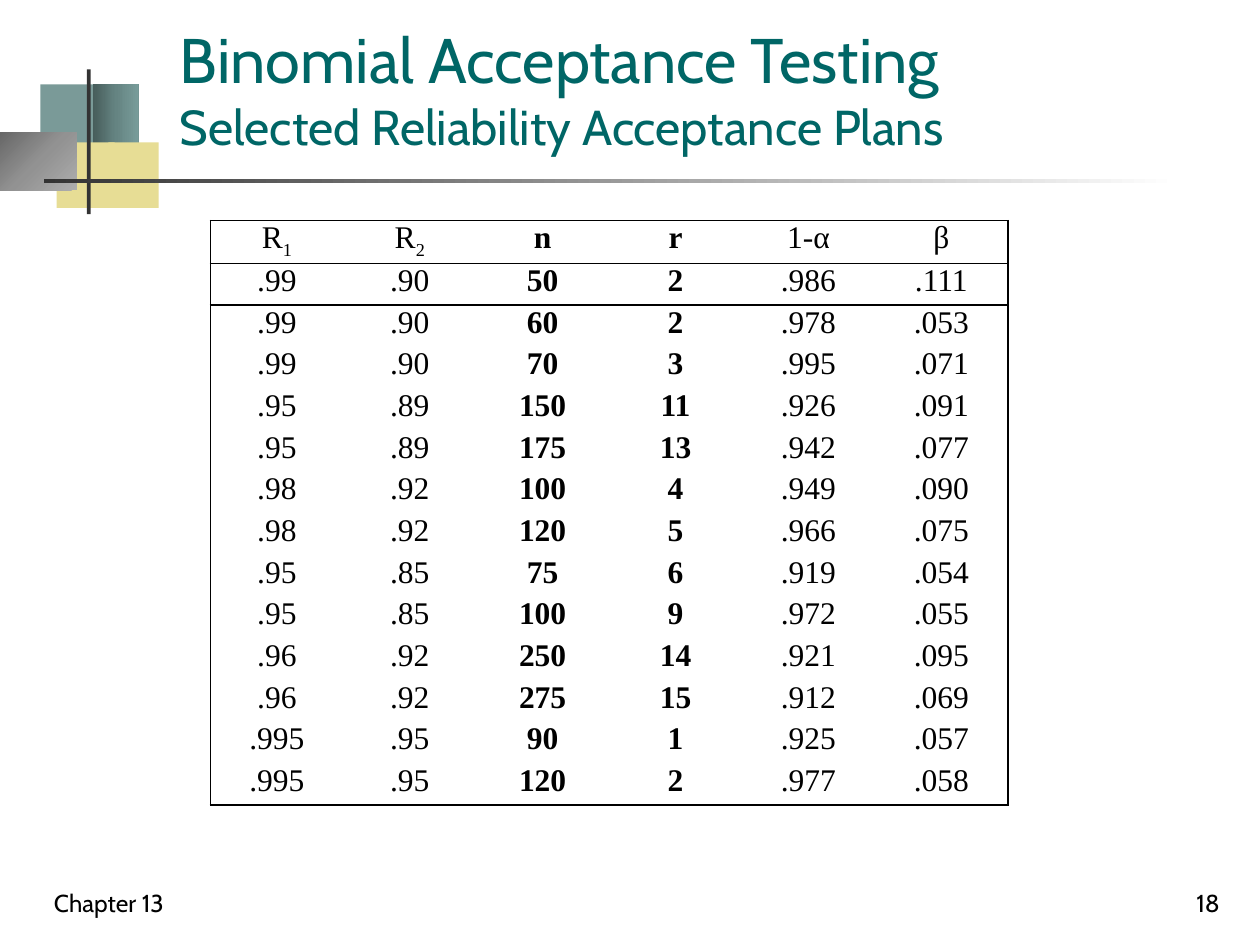
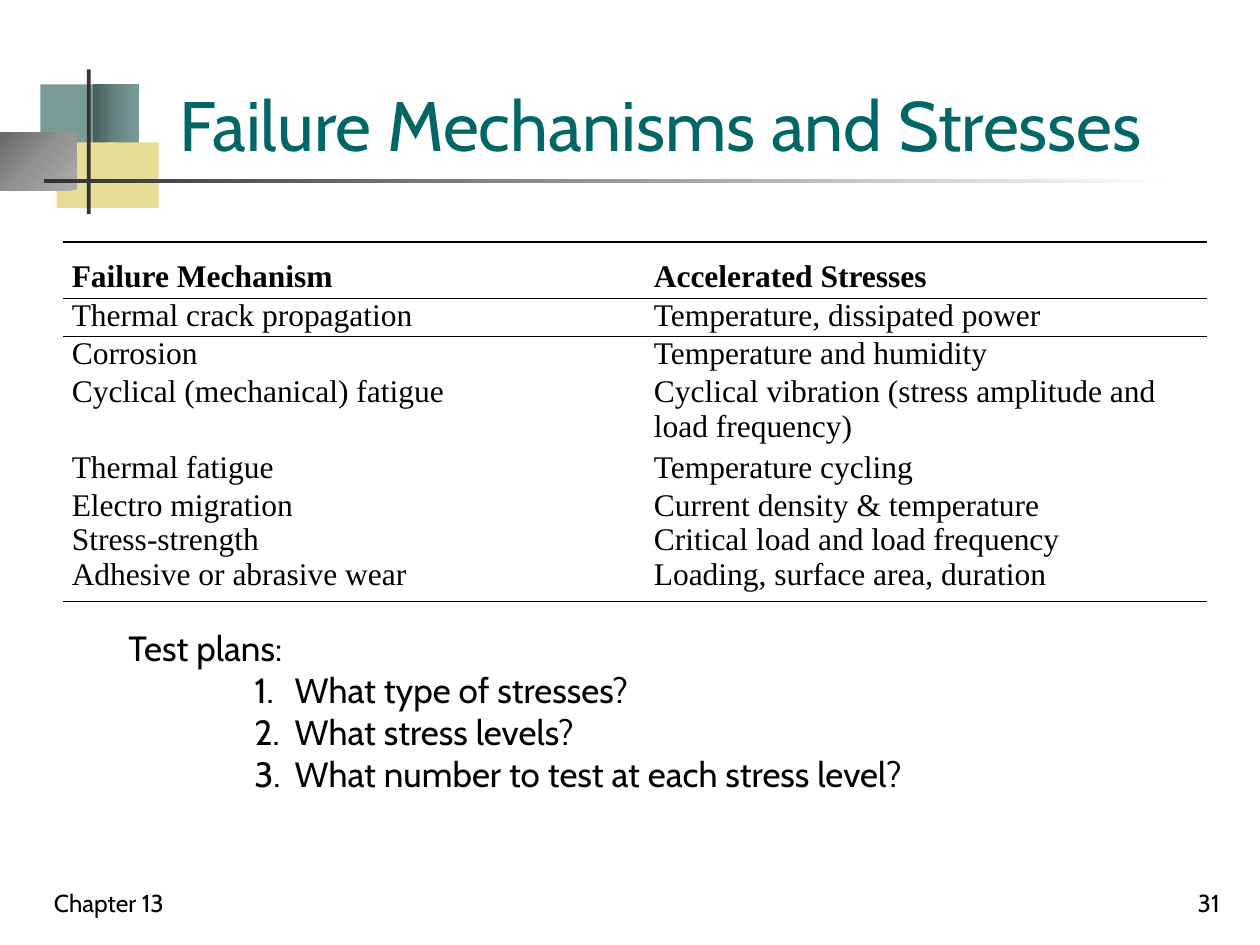
from pptx import Presentation
from pptx.dml.color import RGBColor
from pptx.enum.shapes import MSO_SHAPE as Shape
from pptx.enum.text import MSO_ANCHOR as Anchor, PP_ALIGN as Align
from pptx.oxml import parse_xml
from pptx.oxml.ns import nsdecls
from pptx.util import Pt

PX = 9144
NO_STYLE = "{2D5ABB26-0587-4C30-8999-92F81FD0307C}"
COLORS = {
    "title": "006666", "text": "000000", "teal": "7A9A98", "sand": "E7DD95",
    "rule": "333333", "page": "FFFFFF",
    "teal_dark": "475D5B", "teal_mid": "658482", "teal_light": "789C9A",
    "gray_dark": "676767", "gray_mid": "929292", "gray_light": "ADADAD",
}
LINEAR = '<a:lin ang="0" scaled="0"/>'
CORNER = '<a:path path="circle"><a:fillToRect r="100000" b="100000"/></a:path>'

BANDS = [
    ((32, 67, 48, 52), ["teal"], None),
    ((74, 67, 36, 52), ["teal_dark", "teal_mid", "teal_light"], LINEAR),
    ((45, 113, 46, 52), ["sand"], None),
    ((86, 113, 40, 52), ["sand"], None),
    ((0, 105, 61, 46), ["gray_dark", "gray_mid", "gray_light"], CORNER),
    ((69, 55, 3, 115), ["rule"], None),
    ((35, 142, 900, 3), ["rule", "page"], LINEAR),
]

SUBSCRIPT = {"baseline": -25000}
PLANS = [[[("R", {}), ("1", SUBSCRIPT)], [("R", {}), ("2", SUBSCRIPT)], "n", "r", "1-α", "β"]]
PLANS += [row.split() for row in """\
.99 .90 50 2 .986 .111
.99 .90 60 2 .978 .053
.99 .90 70 3 .995 .071
.95 .89 150 11 .926 .091
.95 .89 175 13 .942 .077
.98 .92 100 4 .949 .090
.98 .92 120 5 .966 .075
.95 .85 75 6 .919 .054
.95 .85 100 9 .972 .055
.96 .92 250 14 .921 .095
.96 .92 275 15 .912 .069
.995 .95 90 1 .925 .057
.995 .95 120 2 .977 .058""".splitlines()]

STRESSES = [
    ["Failure Mechanism", "Accelerated Stresses"],
    ["Thermal crack propagation", "Temperature, dissipated power"],
    ["Corrosion", "Temperature and humidity"],
    ["Cyclical (mechanical) fatigue", "Cyclical vibration (stress amplitude and load frequency)"],
    ["Thermal fatigue", "Temperature cycling"],
    ["Electro migration\nStress-strength\nAdhesive or abrasive wear",
     "Current density & temperature\nCritical load and load frequency\nLoading, surface area, duration"],
]

SLIDES = [
    {"number": "18", "title_at": (133, 42, 838, 86),
     "title": [[("Binomial Acceptance Testing", {"size": 36})],
               [("Selected Reliability Acceptance Plans", {"size": 28})]],
     "rows": PLANS, "table_at": (167, 175, 633, 463), "framed": True,
     "align": Align.CENTER, "header_spacing": 1, "bold_columns": (2, 3), "bold_header": False,
     "widths": [], "heights": [], "questions": []},
    {"number": "31", "title_at": (133, 50, 842, 86),
     "title": ["Failure Mechanisms and Stresses"],
     "rows": STRESSES, "table_at": (50, 192, 908, 285), "framed": False,
     "align": Align.LEFT, "header_spacing": 1.5, "bold_columns": (), "bold_header": True,
     "widths": [462, 446], "heights": [45, 30, 30, 60, 30, 90],
     "questions": ["What type of stresses?", "What stress levels?",
                   "What number to test at each stress level?"]},
]


def write(frame, lines, size=14, color="text", font="Cabin", bold=False,
          align=Align.LEFT, spacing=None, anchor=Anchor.TOP):
    frame.word_wrap = True
    frame.vertical_anchor = anchor
    for index, line in enumerate(lines):
        paragraph = frame.paragraphs[0] if index == 0 else frame.add_paragraph()
        paragraph.alignment = align
        paragraph.line_spacing = spacing
        for text, extra in [(line, {})] if isinstance(line, str) else line:
            run = paragraph.add_run()
            run.text = text
            run.font.size = Pt(extra.get("size", size))
            run.font.name = font
            run.font.bold = bold
            run.font.color.rgb = RGBColor.from_string(COLORS[color])
            if "baseline" in extra:
                run.font._element.set("baseline", str(extra["baseline"]))


def scaled(box):
    return [length * PX for length in box]


deck = Presentation()
deck.slide_width, deck.slide_height = scaled((1000, 750))

for content in SLIDES:
    slide = deck.slides.add_slide(deck.slide_layouts[6])
    shapes = slide.shapes

    for box, stops, direction in BANDS:
        band = shapes.add_shape(Shape.RECTANGLE, *scaled(box))
        band.shadow.inherit = False
        band.line.fill.background()
        if direction is None:
            band.fill.solid()
            band.fill.fore_color.rgb = RGBColor.from_string(COLORS[stops[0]])
        else:
            steps = "".join(
                f'<a:gs pos="{100000 * i // (len(stops) - 1)}"><a:srgbClr val="{COLORS[stop]}"/></a:gs>'
                for i, stop in enumerate(stops))
            band._element.spPr.insert(2, parse_xml(
                f'<a:gradFill {nsdecls("a")} rotWithShape="1"><a:gsLst>{steps}</a:gsLst>{direction}</a:gradFill>'))

    heading = shapes.add_textbox(*scaled(content["title_at"]))
    write(heading.text_frame, content["title"], size=40, color="title", anchor=Anchor.BOTTOM)
    for left, label, align in ((33, "Chapter 13", Align.LEFT), (770, content["number"], Align.RIGHT)):
        footer = shapes.add_textbox(*scaled((left, 683, 208, 50)))
        write(footer.text_frame, [label], align=align, anchor=Anchor.BOTTOM)

    if content["questions"]:
        test_plans = shapes.add_textbox(*scaled((92, 492, 678, 145))).text_frame
        numbered = [f"{i}.\t{question}" for i, question in enumerate(content["questions"], 1)]
        write(test_plans, ["Test plans:"] + numbered, size=20)
        for paragraph in test_plans.paragraphs[1:]:
            properties = paragraph._p.get_or_add_pPr()
            properties.set("marL", str(132 * PX))
            properties.set("indent", str(-32 * PX))

    rows = content["rows"]
    last_row, last_column = len(rows) - 1, len(rows[0]) - 1
    table = shapes.add_table(len(rows), len(rows[0]), *scaled(content["table_at"])).table
    table.first_row = table.horz_banding = False
    table._tbl.tblPr[0].text = NO_STYLE
    for column, width in zip(table.columns, content["widths"]):
        column.width = width * PX
    for row, height in zip(table.rows, content["heights"]):
        row.height = height * PX

    for r, values in enumerate(rows):
        for c, value in enumerate(values):
            cell = table.cell(r, c)
            cell.margin_left = cell.margin_right = 7 * PX
            cell.margin_top = cell.margin_bottom = 0
            write(cell.text_frame, value.split("\n") if isinstance(value, str) else [value],
                  size=18, font="Times New Roman", align=content["align"],
                  bold=c in content["bold_columns"] or (r == 0 and content["bold_header"]),
                  spacing=content["header_spacing"] if r == 0 else None)
            edges = {
                "lnL": content["framed"] and c == 0,
                "lnR": content["framed"] and c == last_column,
                "lnT": r in (0, 1),
                "lnB": r in (0, last_row),
            }
            for edge in (name for name, drawn in edges.items() if drawn):
                cell._tc.get_or_add_tcPr().append(parse_xml(
                    f'<a:{edge} {nsdecls("a")} w="12700"><a:solidFill>'
                    f'<a:srgbClr val="{COLORS["text"]}"/></a:solidFill></a:{edge}>'))
            cell.fill.background()

deck.save("out.pptx")
